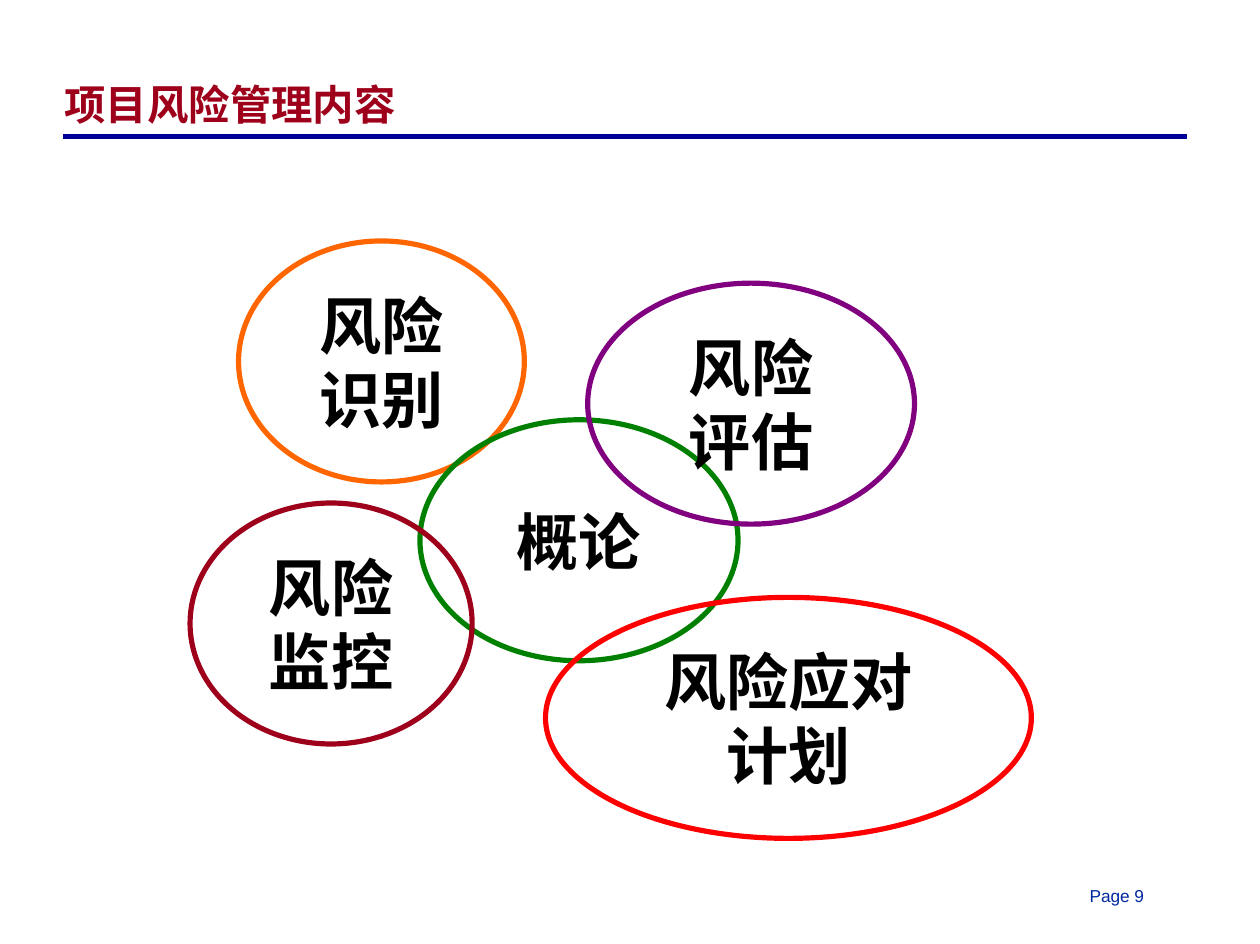
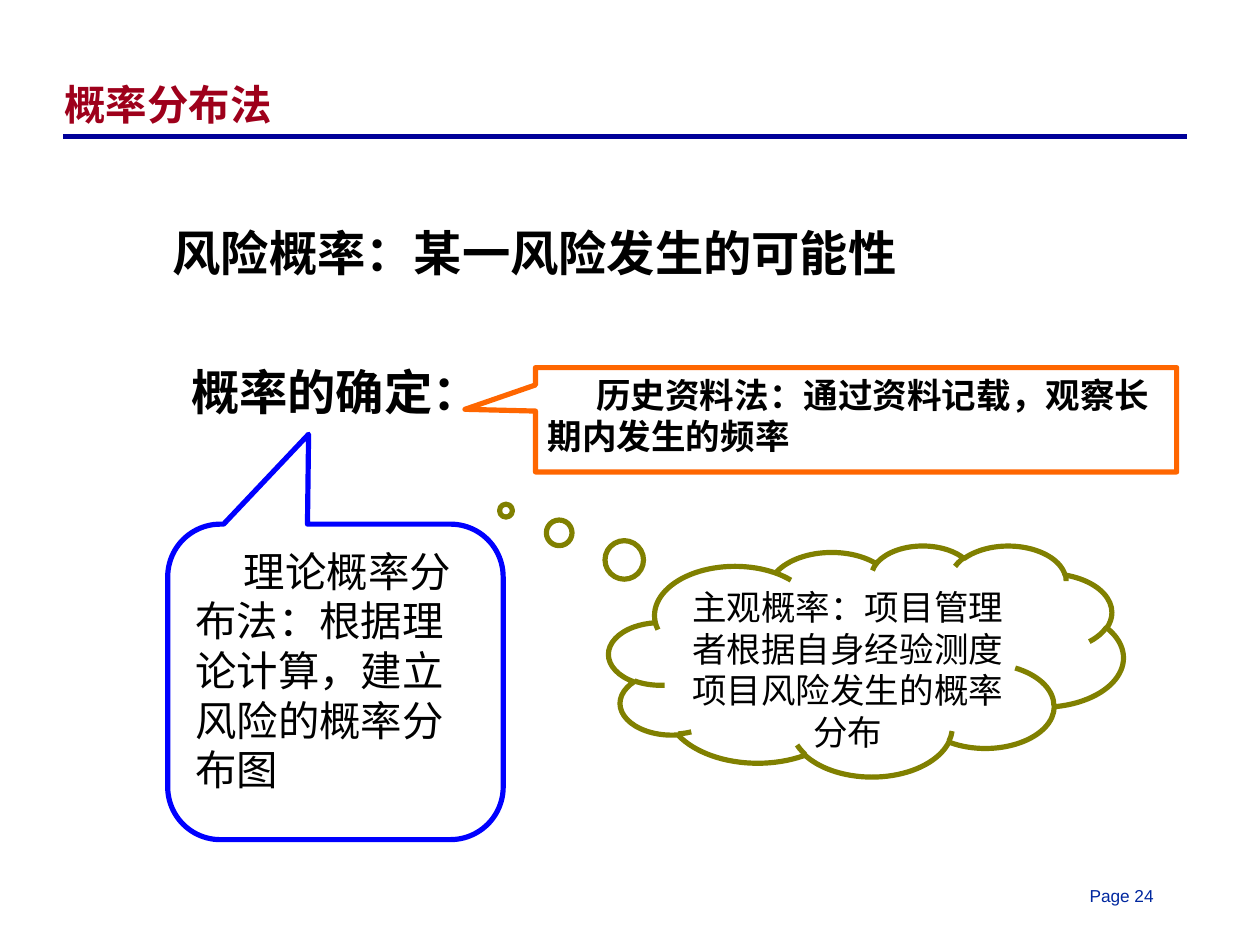
from dataclasses import dataclass

from lxml import etree
from pptx import Presentation
from pptx.dml.color import RGBColor
from pptx.enum.shapes import MSO_CONNECTOR, MSO_SHAPE
from pptx.enum.text import MSO_ANCHOR, MSO_AUTO_SIZE, PP_ALIGN
from pptx.oxml.ns import qn
from pptx.util import Inches, Pt

OVAL = MSO_SHAPE.OVAL
RECTANGLE_CALLOUT = MSO_SHAPE.RECTANGULAR_CALLOUT
ROUNDED_CALLOUT = MSO_SHAPE.ROUNDED_RECTANGULAR_CALLOUT
CLOUD_CALLOUT = MSO_SHAPE.CLOUD_CALLOUT
LEFT, CENTER = PP_ALIGN.LEFT, PP_ALIGN.CENTER
TOP, MIDDLE, BOTTOM = MSO_ANCHOR.TOP, MSO_ANCHOR.MIDDLE, MSO_ANCHOR.BOTTOM


@dataclass(frozen=True)
class Theme:
    heading_font: str = "Arial"
    body_font: str = "Times New Roman"
    text: str = "000000"
    crimson: str = "9E001B"
    rule: str = "000099"
    footer: str = "00279F"
    orange: str = "FF6600"
    green: str = "008000"
    purple: str = "800080"
    red: str = "FF0000"
    blue: str = "0000FF"
    olive: str = "808000"
    footer_size: int = 10
    note_size: int = 20
    title_size: int = 24
    statement_size: int = 28
    topic_size: int = 36
    line_width: int = 3


theme = Theme()


def write_text(shape, lines, size, bold=False, font=theme.body_font, color=theme.text,
               align=LEFT, anchor=TOP, wrap=True, before=0, indent=0):
    """Fill a shape with one paragraph per line and return its text frame."""
    frame = shape.text_frame
    frame.word_wrap = wrap
    frame.vertical_anchor = anchor
    for index, line in enumerate(lines):
        paragraph = frame.paragraphs[0] if index == 0 else frame.add_paragraph()
        paragraph.alignment = align
        paragraph.space_before = Pt(before)
        if indent:
            paragraph._p.get_or_add_pPr().set("indent", str(Inches(indent)))
        run = paragraph.add_run()
        run.text = line
        run.font.size = Pt(size)
        run.font.bold = bold
        run.font.name = font
        run.font.color.rgb = RGBColor.from_string(color)
    return frame


def add_outline(slide, kind, box, color):
    """Add an unfilled shape with a coloured outline."""
    shape = slide.shapes.add_shape(kind, *map(Inches, box))
    shape.shadow.inherit = False
    shape.fill.background()
    shape.line.color.rgb = RGBColor.from_string(color)
    shape.line.width = Pt(theme.line_width)
    return shape


presentation = Presentation()
presentation.slide_width = Inches(10.14)
presentation.slide_height = Inches(7.6)
blank_layout = presentation.slide_layouts[6]

# Shared frame: rule, page number and title
slides = []
for title, page in (("项目风险管理内容", 9), ("概率分布法", 24)):
    slide = presentation.slides.add_slide(blank_layout)
    rule = slide.shapes.add_connector(
        MSO_CONNECTOR.STRAIGHT, Inches(0.51), Inches(1.1), Inches(9.55), Inches(1.1))
    rule.line.color.rgb = RGBColor.from_string(theme.rule)
    rule.line.width = Pt(theme.line_width)
    etree.SubElement(rule._element.spPr, qn("a:effectLst"))

    page_box = slide.shapes.add_textbox(*map(Inches, (8.67, 7.08, 0.75, 0.27)))
    write_text(page_box, [f"Page {page}"], theme.footer_size,
               font=theme.heading_font, color=theme.footer)

    title_box = slide.shapes.add_textbox(*map(Inches, (0.42, 0.33, 9.04, 0.76)))
    title_frame = write_text(title_box, [title], theme.title_size, bold=True,
                             font=theme.heading_font, color=theme.crimson, anchor=BOTTOM)
    title_frame.paragraphs[0].line_spacing = 0.87
    slides.append(slide)

content_slide, probability_slide = slides

# Overlapping topics, all of one height
TOPIC_HEIGHT = 1.94
topics = (
    (["风险", "识别"], 1.92, 1.94, 2.3, theme.orange),
    (["概论"], 3.38, 3.38, 2.56, theme.green),
    (["风险", "监控"], 1.53, 4.05, 2.27, theme.crimson),
    (["风险", "评估"], 4.73, 2.28, 2.63, theme.purple),
    (["风险应对", "计划"], 4.39, 4.81, 3.91, theme.red),
)
for lines, left, top, width, color in topics:
    topic = add_outline(content_slide, OVAL, (left, top, width, TOPIC_HEIGHT), color)
    write_text(topic, lines, theme.topic_size, bold=True,
               align=CENTER, anchor=MIDDLE, wrap=False)

# Probability statements
statements = (
    ("风险概率：某一风险发生的可能性", (1.29, 1.75, 7.61, 0.57)),
    ("概率的确定：", (1.44, 2.87, 2.28, 0.57)),
)
for text, box in statements:
    statement = probability_slide.shapes.add_textbox(*map(Inches, box))
    frame = write_text(statement, [text], theme.statement_size, bold=True, before=17.5)
    frame.auto_size = MSO_AUTO_SIZE.SHAPE_TO_FIT_TEXT

# Callouts for the three methods
methods = (
    (RECTANGLE_CALLOUT, (4.31, 2.96, 5.16, 0.84), (-0.61, -0.1), theme.orange,
     "历史资料法：通过资料记载，观察长期内发生的频率",
     dict(size=theme.note_size, bold=True, before=5, indent=0.39)),
    (ROUNDED_CALLOUT, (1.35, 4.22, 2.7, 2.54), (-0.08, -0.785, 0.167), theme.blue,
     "理论概率分布法：根据理论计算，建立风险的概率分布图",
     dict(size=theme.title_size, before=6, indent=0.39)),
    (CLOUD_CALLOUT, (4.9, 4.39, 4.14, 1.86), (-0.7, -0.65), theme.olive,
     "主观概率：项目管理者根据自身经验测度项目风险发生的概率分布",
     dict(size=theme.note_size, align=CENTER, before=5)),
)
for kind, box, adjustments, color, text, style in methods:
    callout = add_outline(probability_slide, kind, box, color)
    for index, value in enumerate(adjustments):
        callout.adjustments[index] = value
    write_text(callout, [text], **style)

presentation.save("out.pptx")
